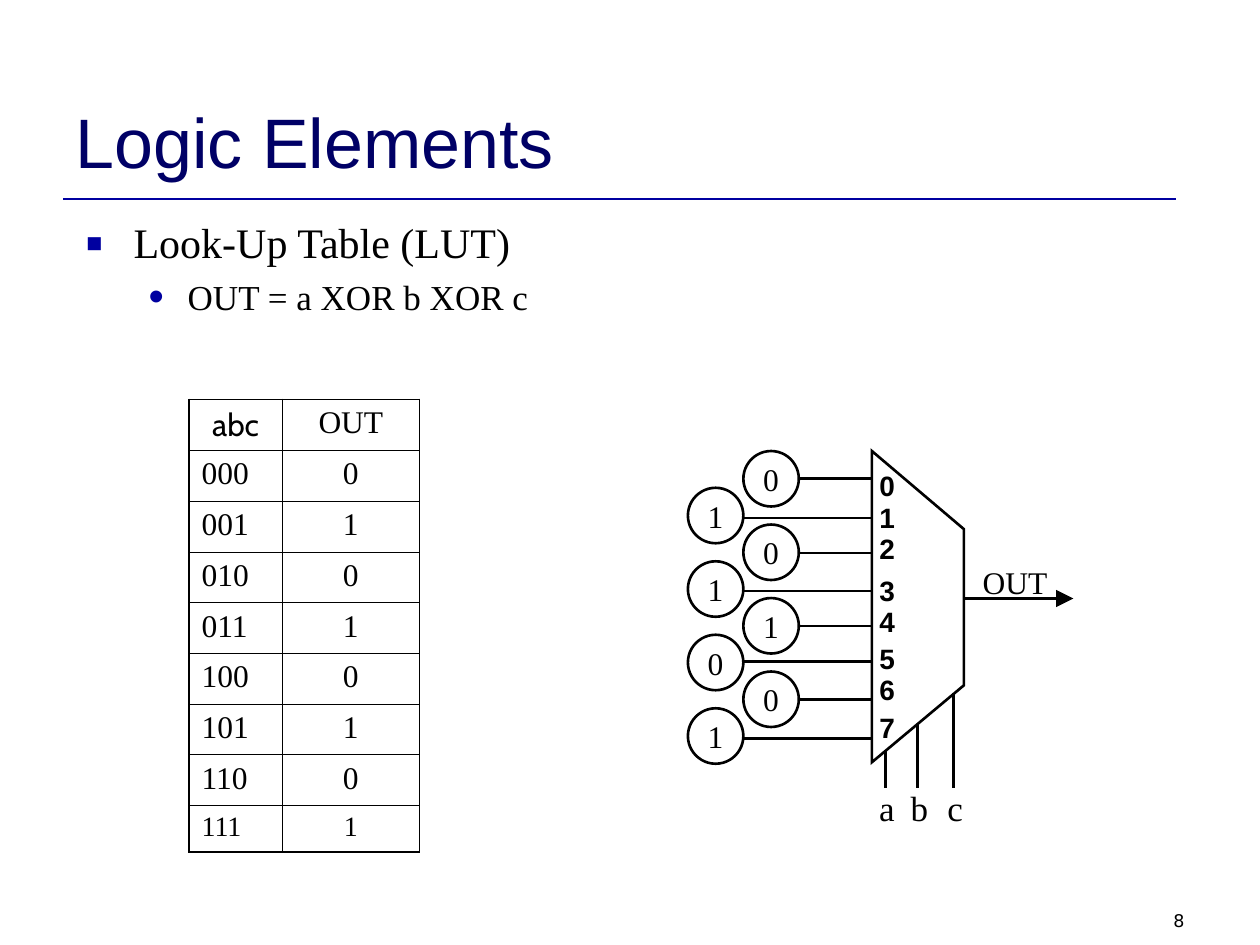
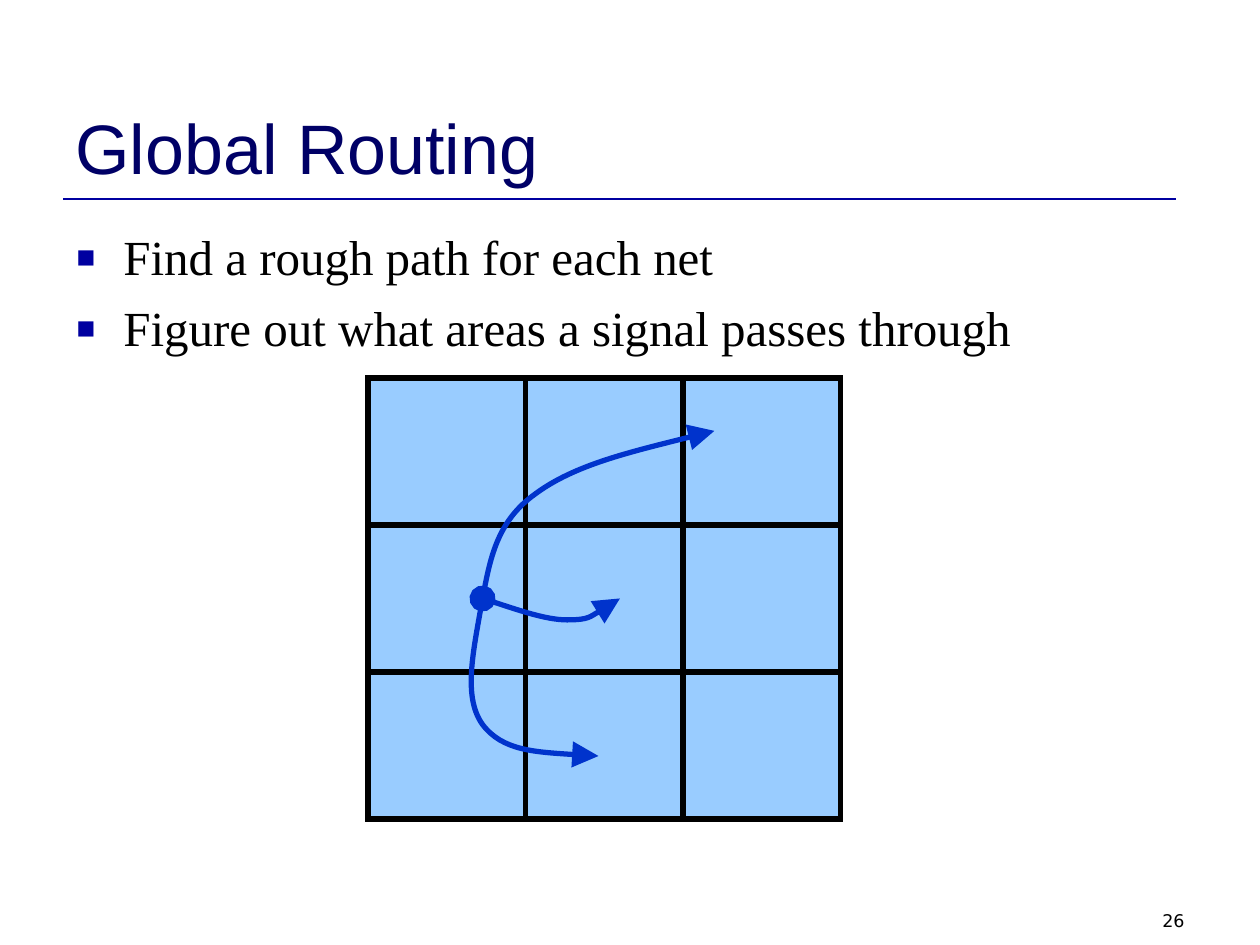
from dataclasses import dataclass

import pptx
import pptx.dml.color
import pptx.enum.shapes
import pptx.enum.text
import pptx.oxml
import pptx.oxml.ns
import pptx.util
from lxml import etree

Inches = pptx.util.Inches
Pt = pptx.util.Pt
qn = pptx.oxml.ns.qn
Align = pptx.enum.text.PP_ALIGN
Anchor = pptx.enum.text.MSO_ANCHOR
AutoSize = pptx.enum.text.MSO_AUTO_SIZE
Preset = pptx.enum.shapes.MSO_SHAPE


@dataclass(frozen=True)
class Theme:
    ink: str = "000000"
    title: str = "000066"
    accent: str = "0000A0"
    tile: str = "99CCFF"
    route: str = "0033CC"
    sans: str = "Arial"
    serif: str = "Times New Roman"
    header: str = "Cabin"
    number: str = "DejaVu Sans"
    title_size: float = 40
    list_size: float = 28
    lead_size: float = 24
    detail_size: float = 20
    label_size: float = 18
    small_size: float = 16
    number_size: float = 10
    thin: float = 1.5
    thick: float = 3


THEME = Theme()


@dataclass(frozen=True)
class Box:
    left: float
    top: float
    width: float
    height: float

    def inner(self, left, top, width, height):
        return Box(self.left + left, self.top + top, width, height)

    def point(self, x, y):
        return Inches(self.left + x), Inches(self.top + y)

    def lengths(self):
        return [Inches(v) for v in (self.left, self.top, self.width, self.height)]


def rgb(color):
    return pptx.dml.color.RGBColor.from_string(color)


# Text
def add_span(para, text, size, face=THEME.serif, color=THEME.ink, bold=False):
    span = para.add_run()
    span.text = text
    span.font.size = Pt(size)
    span.font.name = face
    span.font.bold = bold
    span.font.color.rgb = rgb(color)


def add_label(page, box, text, size, align=Align.LEFT, wrap=False, **style):
    label = page.shapes.add_textbox(*box.lengths())
    frame = label.text_frame
    frame.word_wrap = wrap
    frame.auto_size = AutoSize.NONE if wrap else AutoSize.SHAPE_TO_FIT_TEXT
    frame.paragraphs[0].alignment = align
    add_span(frame.paragraphs[0], text, size, **style)


def place(holder, box, anchor):
    holder.left, holder.top, holder.width, holder.height = box.lengths()
    frame = holder.text_frame
    frame.auto_size = AutoSize.NONE
    frame.word_wrap = True
    frame.vertical_anchor = anchor
    return frame


def set_bullet(para, mark, indent, hanging):
    props = para._p.get_or_add_pPr()
    props.set("marL", str(Inches(indent)))
    props.set("indent", str(-Inches(hanging)))
    color = etree.SubElement(props, qn("a:buClr"))
    etree.SubElement(color, qn("a:srgbClr"), val=THEME.accent)
    etree.SubElement(props, qn("a:buSzPct"), val="125000")
    etree.SubElement(props, qn("a:buChar"), char=mark)


def fill_list(holder, box, items):
    """Each item is (text, level, size, space before)."""
    frame = place(holder, box, Anchor.TOP)
    bullets = (("▪", 0.38, 0.38), ("•", 0.81, 0.31))
    for index, (text, level, size, gap) in enumerate(items):
        para = frame.add_paragraph() if index else frame.paragraphs[0]
        para.level = level
        para.space_before = Pt(gap if index else 0)
        set_bullet(para, *bullets[level])
        add_span(para, text, size)


# Lines and shapes
def set_line(shape, color, width, head=None, tail=None):
    shape.line.color.rgb = rgb(color)
    shape.line.width = Pt(width)
    stroke = shape.element.spPr.find(qn("a:ln"))
    etree.SubElement(stroke, qn("a:miter"), lim="800000")
    for end, kind in (("a:headEnd", head), ("a:tailEnd", tail)):
        if kind:
            etree.SubElement(stroke, qn(end), type=kind, w="lg", len="lg")


def add_line(page, start, end, color=THEME.ink, tail=None):
    line = page.shapes.add_connector(
        pptx.enum.shapes.MSO_CONNECTOR.STRAIGHT, *start, *end)
    set_line(line, color, THEME.thin, tail=tail)
    etree.SubElement(line.element.spPr, qn("a:effectLst"))
    return line


def add_preset(page, preset, box, width, fill=None):
    shape = page.shapes.add_shape(preset, *box.lengths())
    shape.shadow.inherit = False
    if fill:
        shape.fill.solid()
        shape.fill.fore_color.rgb = rgb(fill)
    else:
        shape.fill.background()
    set_line(shape, THEME.ink, width)
    return shape


def add_outline(page, points, color, width, close=False, **ends):
    builder = page.shapes.build_freeform(*points[0])
    builder.add_line_segments(points[1:], close=close)
    shape = builder.convert_to_shape()
    shape.shadow.inherit = False
    shape.fill.background()
    set_line(shape, color, width, **ends)
    return shape


def add_curve(page, points, **ends):
    """Start point, then control, control and end point for each arc."""
    shape = add_outline(page, points, THEME.route, THEME.thick, **ends)
    track = next(shape.element.iter(qn("a:path")))
    steps = track.findall(qn("a:lnTo"))
    for first in range(0, len(steps), 3):
        arc = etree.SubElement(track, qn("a:cubicBezTo"))
        for step in steps[first:first + 3]:
            arc.append(step[0])
            track.remove(step)


# Parts shared by the pages
def add_page(deck, title, title_top, number, list_box, items):
    page = deck.slides.add_slide(deck.slide_layouts[1])
    frame = place(page.shapes.title, Box(0.5, title_top, 9, 1.25), Anchor.BOTTOM)
    frame.paragraphs[0].alignment = Align.LEFT
    add_span(frame.paragraphs[0], title, THEME.title_size, THEME.sans, THEME.title)
    fill_list(page.placeholders[1], list_box, items)
    add_label(page, Box(7.17, 7.17, 2.33, 0.25), number, THEME.number_size,
              Align.RIGHT, wrap=True, face=THEME.number)
    return page


def move_rule_to_master(deck, page):
    slide = Box(0, 0, 10, 7.5)
    rule = add_line(page, slide.point(0.5, 1.58), slide.point(9.33, 1.58), THEME.accent)
    rule.element.nvCxnSpPr.cNvPr.set("id", "20")
    deck.slide_master.shapes.element.append(rule.element)


# Truth table
def set_borders(cell, widths):
    props = cell._tc.get_or_add_tcPr()
    for side, width in zip("LRTB", widths):
        edge = etree.SubElement(props, qn("a:ln" + side), w=str(Pt(width)))
        fill = etree.SubElement(edge, qn("a:solidFill"))
        etree.SubElement(fill, qn("a:srgbClr"), val=THEME.ink)


def add_truth_table(page, box):
    rows = [("abc", "OUT")] + [(f"{n:03b}", str(n % 2)) for n in range(8)]
    table = page.shapes.add_table(len(rows), 2, *box.lengths()).table
    table.first_row = table.horz_banding = False
    for column, width in zip(table.columns, (0.74, 1.09)):
        column.width = Inches(width)
    outer, inner = 1.08, 0.45
    last = len(rows) - 1
    last_height = 0.37
    row_height = (box.height - last_height) / last
    for r, values in enumerate(rows):
        table.rows[r].height = Inches(last_height if r == last else row_height)
        for c, value in enumerate(values):
            cell = table.cell(r, c)
            edges = (c == 0, c == 1, r == 0, r == last)
            set_borders(cell, [outer if edge else inner for edge in edges])
            cell.fill.background()
            para = cell.text_frame.paragraphs[0]
            para.alignment = Align.CENTER if c or not r else Align.LEFT
            add_span(para, value, THEME.small_size if r == last else THEME.label_size,
                     THEME.header if value == "abc" else THEME.serif)


# Multiplexer fed by eight stored bits
def add_multiplexer(page, box):
    size, face, back = 0.44, 1.46, 2.19
    pitch = 1.75 / 6
    wires = (0.22, 0.53, 0.81, 1.11, 1.39, 1.67, 1.97, 2.28)
    ports = (0.09, 0.34, 0.59, 0.92, 1.17, 1.46, 1.71, 2.01)
    corners = ((face, 2.47), (back, 1.86), (back, 0.62), (face, 0))
    add_outline(page, [box.point(*corner) for corner in corners],
                THEME.ink, THEME.thin, close=True)
    for index, (bit, wire, port) in enumerate(zip("01011001", wires, ports)):
        left = 0 if index % 2 else size
        circle = add_preset(page, Preset.OVAL,
                            box.inner(left, index * pitch, size, size), THEME.thin)
        frame = circle.text_frame
        frame.word_wrap = False
        frame.vertical_anchor = Anchor.MIDDLE
        frame.paragraphs[0].alignment = Align.CENTER
        add_span(frame.paragraphs[0], bit, THEME.label_size)
        add_line(page, box.point(left + size, wire), box.point(face, wire))
        add_label(page, box.inner(1.42, port, 0.32, 0.37), str(index),
                  THEME.small_size, Align.CENTER, face=THEME.sans, bold=True)
    # Select inputs and output
    for name, x, top, left in (("a", 1.57, 2.38, 1.42), ("b", 1.82, 2.17, 1.67),
                               ("c", 2.11, 1.92, 1.96)):
        add_line(page, box.point(x, top), box.point(x, 2.67))
        add_label(page, box.inner(left, 2.61, 0.33, 0.44), name, THEME.detail_size)
    add_line(page, box.point(back, 1.17), box.point(3.06, 1.17), tail="triangle")
    add_label(page, box.inner(2.24, 0.84, 0.8, 0.4), "OUT", THEME.label_size, wrap=True)


# Grid of areas with one routed net
def add_routing_grid(page, box):
    width, height = box.width / 3, box.height / 3
    for row in range(3):
        for column in range(3):
            tile = box.inner(column * width, row * height, width, height)
            add_preset(page, Preset.RECTANGLE, tile, THEME.thick, THEME.tile)
    source = (0.91, 1.75)
    routes = (
        (None, ((0.97, 1.44), (1.02, 1.14), (1.33, 0.92),
                (1.64, 0.69), (2.19, 0.56), (2.75, 0.42))),
        (None, ((1.16, 1.83), (1.4, 1.92), (1.58, 1.92),
                (1.76, 1.92), (1.88, 1.83), (2, 1.75))),
        ("oval", ((0.84, 2.15), (0.76, 2.54), (0.91, 2.75),
                  (1.07, 2.96), (1.45, 2.98), (1.83, 3))),
    )
    for head, controls in routes:
        points = [box.point(*point) for point in (source,) + controls]
        add_curve(page, points, head=head, tail="triangle")


def build_logic_page(deck):
    page = add_page(deck, "Logic Elements", 0.25, "8", Box(0.58, 1.67, 4.42, 5.42), (
        ("Look-Up Table (LUT)", 0, THEME.lead_size, 6),
        ("OUT = a XOR b XOR c", 1, THEME.detail_size, 5)))
    add_truth_table(page, Box(1.5, 3.17, 1.83, 3.59))
    add_multiplexer(page, Box(5.46, 3.58, 3.06, 3.05))
    return page


def build_routing_page(deck):
    page = add_page(deck, "Global Routing", 0.3, "26", Box(0.5, 1.75, 9, 5.42), (
        ("Find a rough path for each net", 0, THEME.list_size, 7),
        ("Figure out what areas a signal passes through", 0, THEME.list_size, 7)))
    add_routing_grid(page, Box(2.92, 3, 3.75, 3.5))


def main():
    deck = pptx.Presentation()
    deck.slide_width, deck.slide_height = Inches(10), Inches(7.5)
    move_rule_to_master(deck, build_logic_page(deck))
    build_routing_page(deck)
    deck.save("out.pptx")


if __name__ == "__main__":
    main()
